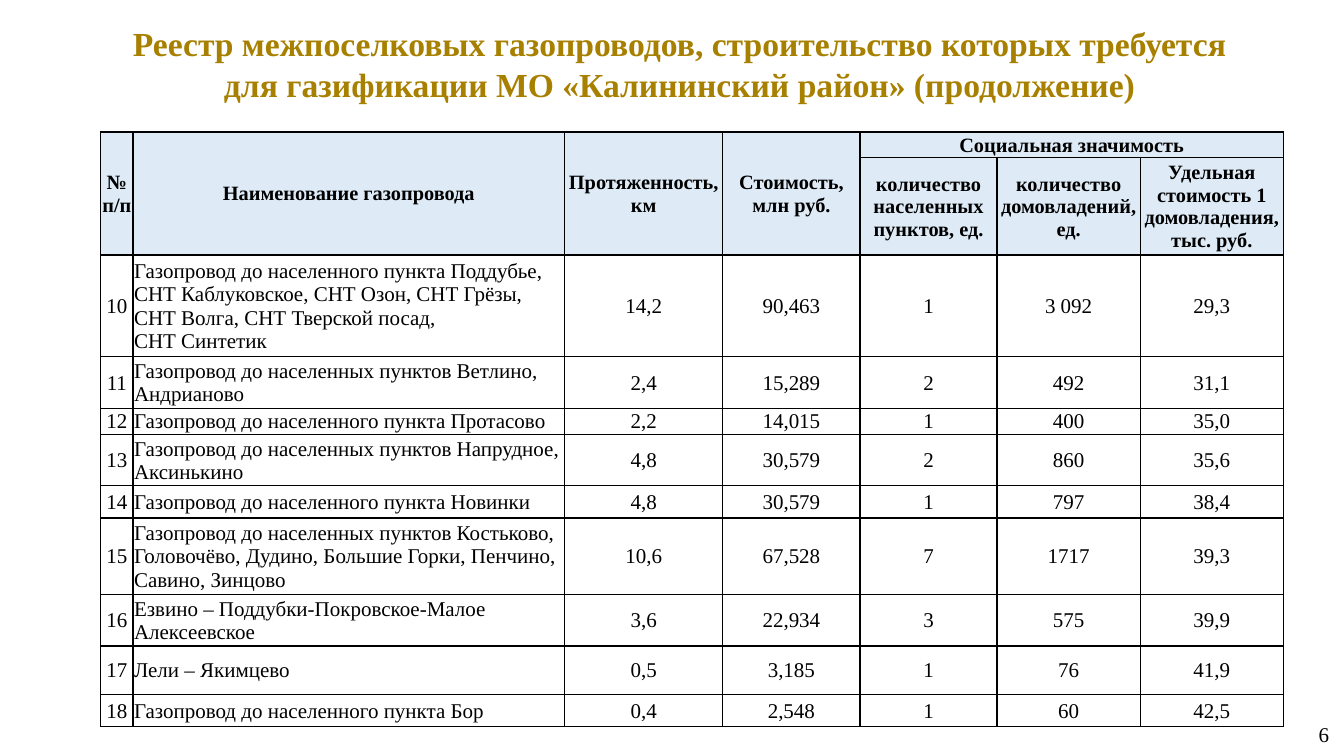
from lxml import etree
from pptx import Presentation
from pptx import util as u
from pptx.dml.color import RGBColor
from pptx.enum import text
from pptx.oxml.ns import qn

FONT = "Times New Roman"
BLACK, GOLD, PALE_BLUE = "000000", "A88000", "DEEBF7"
CENTER, LEFT, RIGHT = text.PP_ALIGN.CENTER, text.PP_ALIGN.LEFT, text.PP_ALIGN.RIGHT

COLUMNS = [0.32, 4.28, 1.57, 1.36, 1.36, 1.42, 1.42]
ROWS = [0.25, 0.97, 1.01, 0.51, 0.26, 0.51, 0.32, 0.76, 0.51, 0.48, 0.32]
HEADERS = [
    ["№\vп/п", "Наименование газопровода", "Протяженность, км",
     "Стоимость, млн руб.", "Социальная значимость", "", ""],
    ["", "", "", "", "количество населенных пунктов, ед.",
     "количество\nдомовладений, ед.",
     "Удельная стоимость 1 домовладения, тыс. руб."],
]
PIPELINES = [
    ["10", "Газопровод до населенного пункта Поддубье, СНТ Каблуковское, СНТ Озон, "
     "СНТ Грёзы, СНТ Волга, СНТ Тверской посад,\vСНТ Синтетик",
     "14,2", "90,463", "1", "3 092", "29,3"],
    ["11", "Газопровод до населенных пунктов Ветлино, Андрианово",
     "2,4", "15,289", "2", "492", "31,1"],
    ["12", "Газопровод до населенного пункта Протасово",
     "2,2", "14,015", "1", "400", "35,0"],
    ["13", "Газопровод до населенных пунктов Напрудное, Аксинькино",
     "4,8", "30,579", "2", "860", "35,6"],
    ["14", "Газопровод до населенного пункта Новинки",
     "4,8", "30,579", "1", "797", "38,4"],
    ["15", "Газопровод до населенных пунктов Костьково, Головочёво, Дудино, "
     "Большие Горки, Пенчино, Савино, Зинцово",
     "10,6", "67,528", "7", "1717", "39,3"],
    ["16", "Езвино – Поддубки-Покровское-Малое Алексеевское",
     "3,6", "22,934", "3", "575", "39,9"],
    ["17", "Лели – Якимцево", "0,5", "3,185", "1", "76", "41,9"],
    ["18", "Газопровод до населенного пункта Бор",
     "0,4", "2,548", "1", "60", "42,5"],
]


def color(value):
    return RGBColor.from_string(value)


def write(tf, words, size, align, bold=False, ink=BLACK):
    tf.text = words
    for p in tf.paragraphs:
        p.alignment = align
        p.font.name = FONT
        p.font.size = u.Pt(size)
        p.font.bold = bold
        p.font.color.rgb = color(ink)


def place(sp, left, top, width, height, anchor):
    sp.left, sp.top = u.Inches(left), u.Inches(top)
    sp.width, sp.height = u.Inches(width), u.Inches(height)
    tf = sp.text_frame
    tf.word_wrap = True
    tf.auto_size = text.MSO_AUTO_SIZE.NONE
    tf.vertical_anchor = anchor
    return tf


def add_title(s):
    tf = place(s.shapes.title, 0.86, 0.18, 11.76, 0.91, text.MSO_ANCHOR.TOP)
    write(tf, "Реестр межпоселковых газопроводов, строительство которых требуется\n"
          "для газификации МО «Калининский район» (продолжение)",
          24, CENTER, True, GOLD)


def add_page_number(s):
    sp = s.shapes.add_textbox(0, 0, 0, 0)
    tf = place(sp, 10.57, 6.98, 2.71, 0.61, text.MSO_ANCHOR.MIDDLE)
    write(tf, "6", 15, RIGHT)


def add_borders(cell):
    tc_pr = cell._tc.get_or_add_tcPr()
    for side in ("a:lnL", "a:lnR", "a:lnT", "a:lnB"):
        ln = etree.SubElement(tc_pr, qn(side), w=str(u.Pt(1)))
        fill = etree.SubElement(ln, qn("a:solidFill"))
        etree.SubElement(fill, qn("a:srgbClr"), val=BLACK)


def format_cell(cell, words, header, align):
    cell.margin_left = cell.margin_right = cell.margin_top = u.Inches(0.01)
    cell.margin_bottom = 0
    cell.vertical_anchor = text.MSO_ANCHOR.MIDDLE
    write(cell.text_frame, words, 14.5 if header else 15, align, header)
    add_borders(cell)
    if header:
        cell.fill.solid()
        cell.fill.fore_color.rgb = color(PALE_BLUE)
    else:
        cell.fill.background()


def add_register(s):
    frame = s.shapes.add_table(len(ROWS), len(COLUMNS), u.Inches(1), u.Inches(1.31),
                               u.Inches(sum(COLUMNS)), u.Inches(sum(ROWS)))
    table = frame.table
    table.first_row = table.horz_banding = False
    for column, width in zip(table.columns, COLUMNS):
        column.width = u.Inches(width)
    for row, height in zip(table.rows, ROWS):
        row.height = u.Inches(height)
    for i, values in enumerate(HEADERS + PIPELINES):
        header = i < len(HEADERS)
        for j, words in enumerate(values):
            align = LEFT if j == 1 and not header else CENTER
            format_cell(table.cell(i, j), words, header, align)
    for j in range(4):
        table.cell(0, j).merge(table.cell(1, j))
    table.cell(0, 4).merge(table.cell(0, 6))


def main():
    prs = Presentation()
    prs.slide_width, prs.slide_height = u.Inches(13.33), u.Inches(7.5)
    s = prs.slides.add_slide(prs.slide_layouts[5])
    add_page_number(s)
    add_title(s)
    add_register(s)
    prs.save("out.pptx")


if __name__ == "__main__":
    main()
